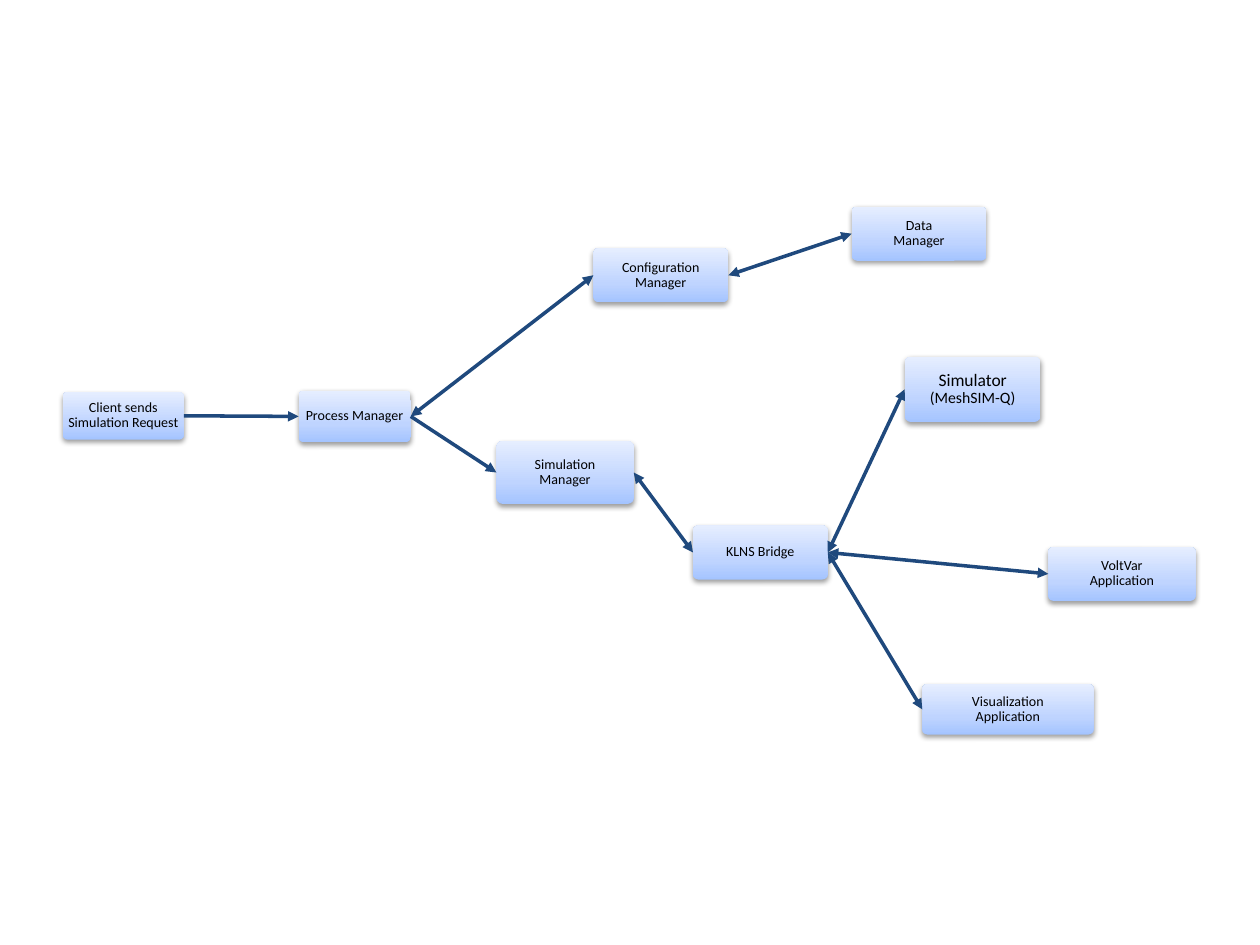
from copy import deepcopy
from dataclasses import dataclass

from lxml import etree
from pptx import Presentation
from pptx.dml.color import RGBColor
from pptx.enum import shapes, text
from pptx.oxml.ns import qn
from pptx.util import Inches, Pt

LEFT, RIGHT = 1, 3
STOPS = [(0, "A4C4FF"), (0.35, "BFD4FF"), (1, "E6EEFF")]


@dataclass
class Node:
    label: str
    x: float
    y: float
    w: float = 1.07
    h: float = 0.43
    sizes: tuple = (8, 8)


@dataclass
class Link:
    start: str
    end: str
    both: bool = True


NODES = {
    "client": Node("Client sends Simulation Request", 0.5, 3.11, 0.96, 0.38),
    "process": Node("Process Manager", 2.37, 3.1, 0.89, 0.41),
    "config": Node("Configuration\nManager", 4.71, 1.97),
    "data": Node("Data\nManager", 6.76, 1.64),
    "sim": Node("Simulation\nManager", 3.94, 3.5, 1.09, 0.5),
    "bridge": Node("KLNS Bridge", 5.5, 4.17),
    "solver": Node("Simulator\n(MeshSIM-Q)", 7.18, 2.83, 1.08, 0.52, (10, 9)),
    "volt": Node("VoltVar\nApplication", 8.32, 4.34, 1.17),
    "visual": Node("Visualization\nApplication", 7.32, 5.43, 1.36, 0.4),
}
LINKS = [
    Link("client", "process", False),
    Link("process", "config"),
    Link("config", "data"),
    Link("process", "sim", False),
    Link("sim", "bridge"),
    Link("bridge", "solver"),
    Link("bridge", "volt"),
    Link("bridge", "visual"),
]


def color(code: str) -> RGBColor:
    return RGBColor.from_string(code)


def add(parent, tag: str, **attrs: str):
    return etree.SubElement(parent, qn(tag), **attrs)


def shade(box) -> None:
    box.fill.gradient()
    box.fill.gradient_angle = 90
    stops = box._element.spPr.find(".//" + qn("a:gsLst"))
    stops.append(deepcopy(stops[-1]))
    for stop, (place, code) in zip(box.fill.gradient_stops, STOPS):
        stop.position = place
        stop.color.rgb = color(code)
    box.line.fill.background()
    box.shadow.inherit = False
    effects = box._element.spPr.find(qn("a:effectLst"))
    shadow = add(effects, "a:outerShdw", blurRad=str(Pt(3.1)), dist=str(Pt(1.6)),
                 dir="5400000", rotWithShape="0")
    black = add(shadow, "a:srgbClr", val="000000")
    add(black, "a:alpha", val="38000")


def draw_node(slide, node: Node):
    box = slide.shapes.add_shape(
        shapes.MSO_SHAPE.ROUNDED_RECTANGLE,
        *map(Inches, (node.x, node.y, node.w, node.h)))
    box.adjustments[0] = 0.1
    shade(box)
    frame = box.text_frame
    frame.word_wrap = True
    frame.vertical_anchor = text.MSO_ANCHOR.MIDDLE
    frame.margin_left = frame.margin_right = Inches(0.02)
    frame.margin_top = frame.margin_bottom = Inches(0.02)
    para = frame.paragraphs[0]
    para.text = node.label
    para.alignment = text.PP_ALIGN.CENTER
    para.line_spacing = 0.9
    for run, size in zip(para.runs, node.sizes):
        run.font.name = "Calibri"
        run.font.size = Pt(size)
        run.font.color.rgb = color("000000")
    return box


def draw_link(slide, link: Link, boxes: dict) -> None:
    line = slide.shapes.add_connector(shapes.MSO_CONNECTOR.STRAIGHT, 0, 0, 0, 0)
    line.begin_connect(boxes[link.start], RIGHT)
    line.end_connect(boxes[link.end], LEFT)
    line.line.color.rgb = color("1F497D")
    line.line.width = Pt(2)
    pen = line.line._get_or_add_ln()
    if link.both:
        add(pen, "a:headEnd", type="triangle")
    add(pen, "a:tailEnd", type="triangle")
    add(line._element.spPr, "a:effectLst")


def main() -> None:
    deck = Presentation()
    deck.slide_width, deck.slide_height = Inches(10), Inches(7.5)
    slide = deck.slides.add_slide(deck.slide_layouts[6])
    boxes = {name: draw_node(slide, node) for name, node in NODES.items()}
    for link in LINKS:
        draw_link(slide, link, boxes)
    deck.save("out.pptx")


main()
